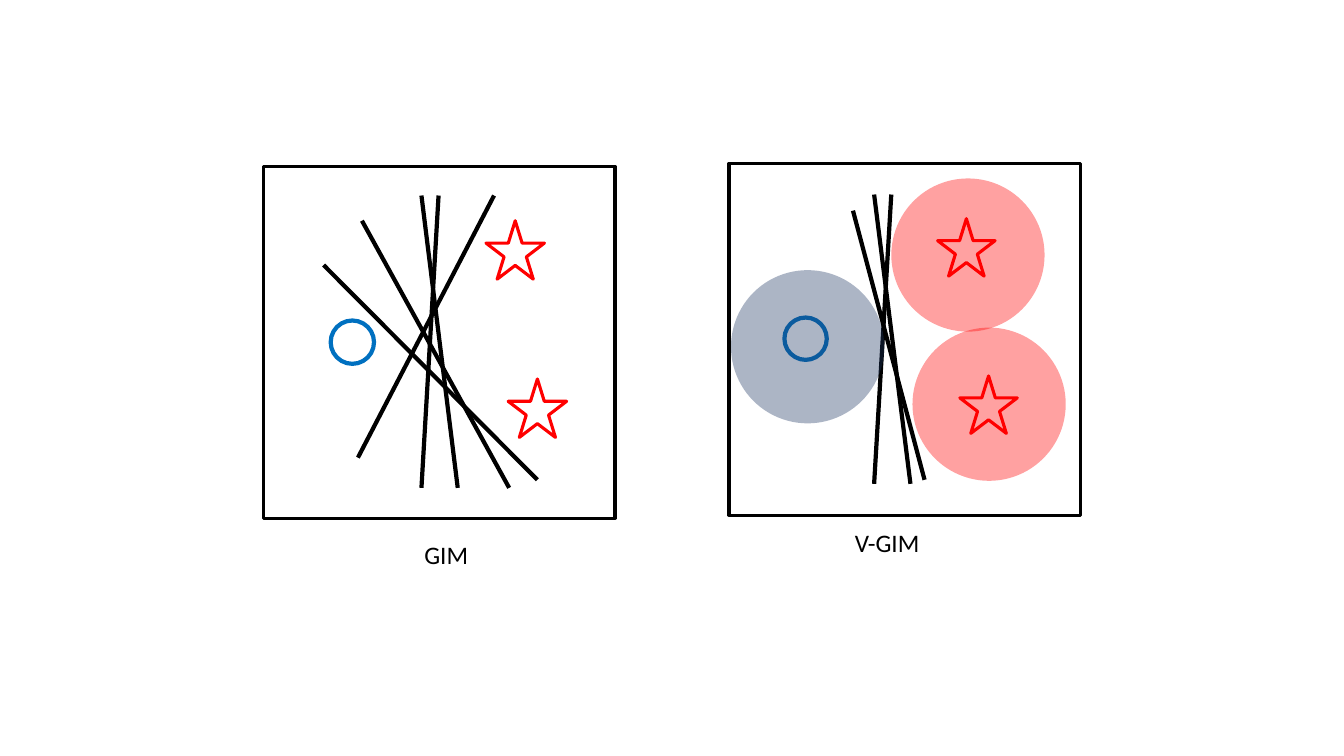
"""Builds a slide that compares the GIM and V-GIM decision lines in two panels."""
from lxml import etree
from pptx import Presentation
from pptx.dml.color import RGBColor
from pptx.enum.shapes import MSO_CONNECTOR, MSO_SHAPE
from pptx.oxml.ns import qn
from pptx.util import Inches, Pt

RECT, OVAL, STAR = MSO_SHAPE.RECTANGLE, MSO_SHAPE.OVAL, MSO_SHAPE.STAR_5_POINT
LINE = MSO_CONNECTOR.STRAIGHT
COLORS = {"black": "000000", "blue": "0070C0", "red": "FF0000", "navy": "203864"}
FRAME, HALO = 3.49, 1.52

deck = Presentation()
deck.slide_width, deck.slide_height = Inches(13.33), Inches(7.5)
slide = deck.slides.add_slide(deck.slide_layouts[6])
shapes = slide.shapes


def write(text, left, top, width, height, size=18, font="Calibri", color="black"):
    box = shapes.add_textbox(Inches(left), Inches(top), Inches(width), Inches(height))
    box.text_frame.word_wrap = True
    run = box.text_frame.paragraphs[0].add_run()
    run.text = text
    run.font.size, run.font.name = Pt(size), font
    run.font.color.rgb = RGBColor.from_string(COLORS[color])


def draw(kind, left, top, size, color, weight=0, alpha=0):
    shape = shapes.add_shape(kind, Inches(left), Inches(top), Inches(size), Inches(size))
    shape.shadow.inherit = False
    tint = RGBColor.from_string(COLORS[color])
    if weight:
        shape.fill.background()
        shape.line.color.rgb = tint
        shape.line.width = Pt(weight)
    else:
        shape.line.fill.background()
        shape.fill.solid()
        shape.fill.fore_color.rgb = tint
        node = shape.fill._xPr.find(qn("a:solidFill"))[0]
        etree.SubElement(node, qn("a:alpha")).set("val", str(alpha * 1000))


panels = [
    {
        "label": ("GIM", 4.11, 5.3, 1.22, 0.58),
        "ring": (3.28, 3.18, 0.43),
        "stars": [(4.82, 2.19, 0.58), (5.04, 3.76, 0.58)],
        "halos": [],
        "under": [],
        "over": [
            (4.18, 1.94, 4.54, 4.84),
            (4.35, 1.94, 4.18, 4.84),
            (4.9, 1.94, 3.55, 4.54),
            (3.21, 2.63, 5.33, 4.76),
            (3.59, 2.19, 5.05, 4.84),
        ],
        "frame": (2.61, 1.65),
    },
    {
        "label": ("V-GIM", 8.38, 5.18, 1.31, 0.57),
        "ring": (7.78, 3.15, 0.42),
        "stars": [(9.3, 2.17, 0.57), (9.52, 3.73, 0.57)],
        "halos": [(9.05, 3.25, "red"), (8.84, 1.77, "red"), (7.25, 2.68, "navy")],
        "under": [(8.67, 1.93, 9.03, 4.8), (8.84, 1.93, 8.67, 4.8)],
        "over": [(8.46, 2.09, 9.17, 4.76)],
        "frame": (7.23, 1.62),
    },
]

for panel in panels:
    write(*panel["label"])
    draw(OVAL, *panel["ring"], "blue", weight=3)
    for star in panel["stars"]:
        draw(STAR, *star, "red", weight=2.25)
    for layer in ("under", "halos", "over"):
        for item in panel[layer]:
            if layer == "halos":
                left, top, color = item
                draw(OVAL, left, top, HALO, color, alpha=37)
            else:
                line = shapes.add_connector(LINE, *map(Inches, item))
                line.line.color.rgb = RGBColor.from_string(COLORS["black"])
                line.line.width = Pt(3)
                etree.SubElement(line._element.spPr, qn("a:effectLst"))
    draw(RECT, *panel["frame"], FRAME, "black", weight=2.25)

deck.save("out.pptx")
